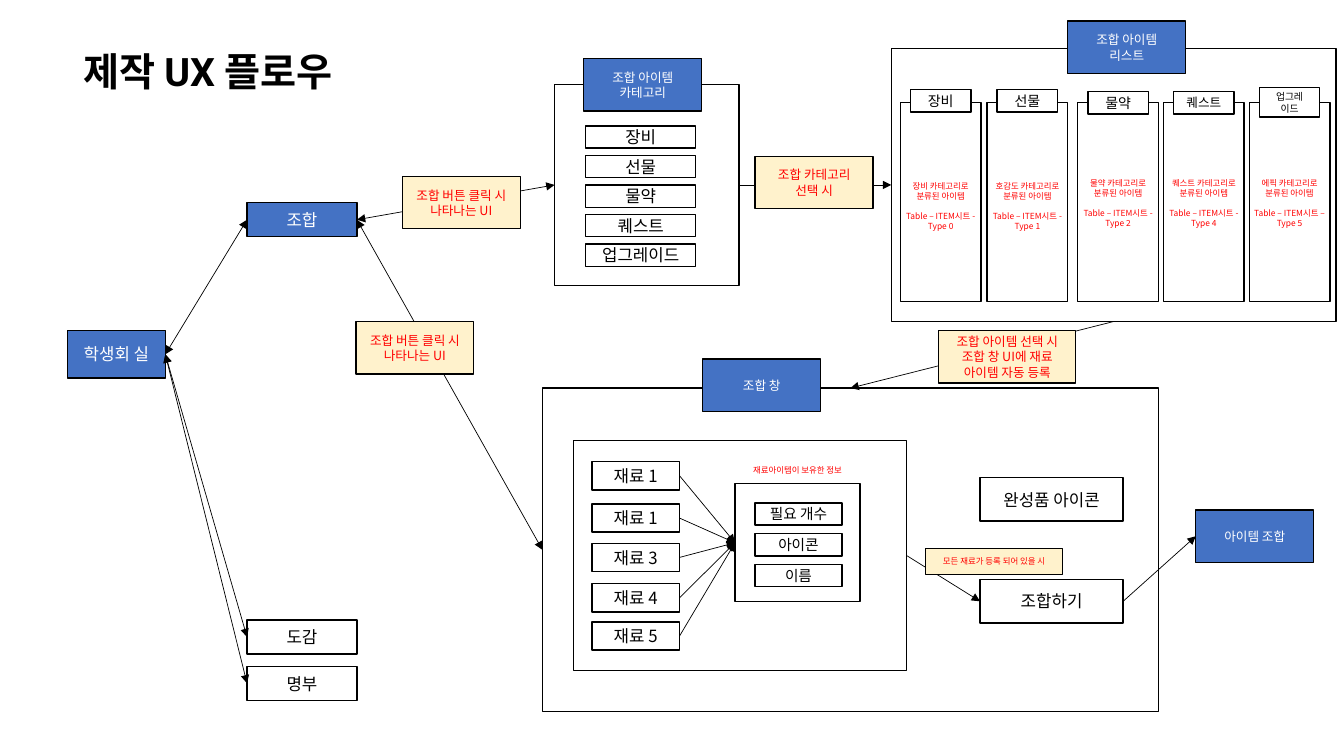
from pptx import Presentation
from pptx.dml.color import RGBColor
from pptx.enum.shapes import MSO_CONNECTOR as Connector, MSO_SHAPE as Shape
from pptx.enum.text import MSO_ANCHOR as Anchor, PP_ALIGN as Align
from pptx.oxml.ns import qn
from pptx.util import Inches, Pt
from lxml.etree import SubElement

FONT = "Noto Sans CJK KR"
BLACK, WHITE, RED = "000000", "FFFFFF", "FF0000"
BLUE, CREAM = "4472C4", "FFF2CC"
TOP, LEFT, BOTTOM, RIGHT = range(4)  # connection sites of a rectangle


def rgb(value):
    """Turn a hex string into a colour."""
    return RGBColor.from_string(value)


def write(shape, text, size, color, font=FONT, bold=False, align=Align.CENTER):
    """Fill a shape with text, one paragraph per line."""
    frame = shape.text_frame
    frame.word_wrap = True
    frame.text = text
    for para in frame.paragraphs:
        para.alignment = align
        for span in para.runs:
            span.font.size = Pt(size)
            span.font.name = font
            span.font.bold = bold
            span.font.color.rgb = rgb(color)
            SubElement(span.font._element, qn("a:ea")).set("typeface", FONT)


def add_frame(page, left, top, width, height, fill=None):
    """Add a black-edged rectangle, hollow unless a fill is given."""
    box = page.shapes.add_shape(Shape.RECTANGLE, Inches(left), Inches(top),
                                Inches(width), Inches(height))
    box.shadow.inherit = False
    if fill:
        box.fill.solid()
        box.fill.fore_color.rgb = rgb(fill)
    else:
        box.fill.background()
    box.line.color.rgb = rgb(BLACK)
    box.line.width = Pt(1)
    return box


def add_box(page, text, left, top, width, height, size=12, fill=WHITE, color=BLACK):
    """Add a filled rectangle with centred text."""
    box = add_frame(page, left, top, width, height, fill)
    box.text_frame.vertical_anchor = Anchor.MIDDLE
    write(box, text, size, color)
    return box


def add_header(page, text, left, top):
    """Add a blue box that names a window or a result."""
    return add_box(page, text, left, top, 1.17, 0.52, 9, BLUE, WHITE)


def add_note(page, text, left, top, width=1.17, height=0.52, size=9):
    """Add a cream box that states the condition of a step."""
    return add_box(page, text, left, top, width, height, size, CREAM, RED)


def add_text(page, text, left, top, width, height, size, color, **style):
    """Add a plain text box."""
    box = page.shapes.add_textbox(Inches(left), Inches(top), Inches(width), Inches(height))
    write(box, text, size, color, **style)
    return box


def add_link(page, start, start_site, end, end_site, both=False):
    """Join two boxes with an arrow, pointed at both ends on request."""
    link = page.shapes.add_connector(Connector.STRAIGHT, 0, 0, 0, 0)
    link.begin_connect(start, start_site)
    link.end_connect(end, end_site)
    link.line.color.rgb = rgb(BLACK)
    link.line.width = Pt(0.5)
    line = link.line._get_or_add_ln()
    for tag in ("a:headEnd", "a:tailEnd") if both else ("a:tailEnd",):
        SubElement(line, qn(tag)).set("type", "triangle")
    SubElement(link._element.spPr, qn("a:effectLst"))


def add_menu(page):
    """Add the room and its three menus; return the crafting menu."""
    room = add_box(page, "학생회 실", 0.67, 3.28, 0.97, 0.47, 12, BLUE, WHITE)
    book = add_box(page, "도감", 2.45, 6.15, 1.09, 0.34)
    roster = add_box(page, "명부", 2.45, 6.61, 1.09, 0.34)
    craft = add_box(page, "조합", 2.45, 2.01, 1.09, 0.34, 12, BLUE, WHITE)
    for menu in (book, roster, craft):
        add_link(page, room, RIGHT, menu, LEFT, both=True)
    return craft


def add_categories(page):
    """Add the category window and return its frame."""
    window = add_frame(page, 5.5, 0.84, 1.83, 1.99)
    add_header(page, "조합 아이템\n카테고리", 5.79, 0.58)
    for row, name in enumerate(("장비", "선물", "물약", "퀘스트", "업그레이드")):
        add_box(page, name, 5.81, 1.25 + 0.293 * row, 1.09, 0.22)
    return window


def add_item_list(page):
    """Add the item list with one panel per category; return its frame."""
    window = add_frame(page, 8.84, 0.48, 4.41, 2.71)
    add_header(page, "조합 아이템\n리스트", 10.59, 0.21)
    panels = (  # left, label, label top, label height, label size, text top, kind, type
        (8.93, "장비", 0.89, 0.22, 10, 1.75, "장비", "- Type 0"),
        (9.79, "선물", 0.89, 0.22, 10, 1.75, "호감도", "- Type 1"),
        (10.69, "물약", 0.91, 0.22, 10, 1.72, "물약", "- Type 2"),
        (11.54, "퀘스트", 0.91, 0.22, 9, 1.72, "퀘스트", "- Type 4"),
        (12.39, "업그레\n이드", 0.87, 0.29, 7, 1.72, "에픽", "– Type 5"),
    )
    for left, label, label_top, height, size, text_top, kind, code in panels:
        add_frame(page, left, 1.02, 0.8, 1.97)
        add_box(page, label, left + 0.1, label_top, 0.6, height, size)
        text = f"{kind} 카테고리로 분류된 아이템\nTable – ITEM시트 {code}"
        detail = add_text(page, text, left - 0.05, text_top, 0.9, 0.61, 6, RED)
        detail.text_frame.paragraphs[1].space_before = Pt(7)
    return window


def add_workshop(page):
    """Add the crafting window with materials and result; return its frame."""
    window = add_frame(page, 5.38, 3.85, 6.11, 3.21)
    add_header(page, "조합 창", 6.97, 3.56)
    materials = add_frame(page, 5.69, 4.37, 3.3, 2.28)
    info = add_frame(page, 7.29, 4.8, 1.24, 1.17)
    add_text(page, "재료아이템이 보유한 정보", 7.29, 4.57, 1.24, 0.2, 6, RED)
    for row, name in enumerate(("필요 개수", "아이콘", "이름")):
        add_box(page, name, 7.49, 4.99 + 0.305 * row, 0.86, 0.22, 10.5)
    for number, top in zip((1, 1, 3, 4, 5), (4.58, 5, 5.39, 5.79, 6.17)):
        material = add_box(page, f"재료 {number}", 5.87, top, 0.87, 0.28)
        add_link(page, material, RIGHT, info, LEFT)
    add_box(page, "완성품 아이콘", 9.72, 4.74, 1.42, 0.43)
    button = add_box(page, "조합하기", 9.72, 5.75, 1.42, 0.43)
    result = add_header(page, "아이템 조합", 11.86, 5.06)
    add_link(page, materials, RIGHT, button, LEFT)
    add_link(page, button, RIGHT, result, LEFT)
    add_note(page, "모든 재료가 등록 되어 있을 시", 9.18, 5.44, 1.36, 0.26, 6)
    return window


def main():
    """Build the crafting flow slide."""
    deck = Presentation()
    deck.slide_width, deck.slide_height = Inches(13.33), Inches(7.5)
    page = deck.slides.add_slide(deck.slide_layouts[6])
    add_text(page, "제작 UX 플로우", 0.73, 0.42, 4.88, 0.57, 28, BLACK,
             font="Roboto", bold=True, align=Align.LEFT)
    craft = add_menu(page)
    categories = add_categories(page)
    items = add_item_list(page)
    workshop = add_workshop(page)

    add_link(page, craft, RIGHT, categories, LEFT, both=True)
    add_link(page, craft, RIGHT, workshop, LEFT, both=True)
    add_link(page, categories, RIGHT, items, LEFT)
    add_link(page, items, BOTTOM, workshop, TOP)
    for left, top in ((3.53, 3.19), (3.99, 1.75)):
        add_note(page, "조합 버튼 클릭 시 나타나는 UI", left, top)
    add_note(page, "조합 카테고리 선택 시", 7.49, 1.55)
    add_note(page, "조합 아이템 선택 시\n조합 창 UI에 재료 아이템 자동 등록", 9.31, 3.28, 1.36)
    deck.save("out.pptx")


main()
